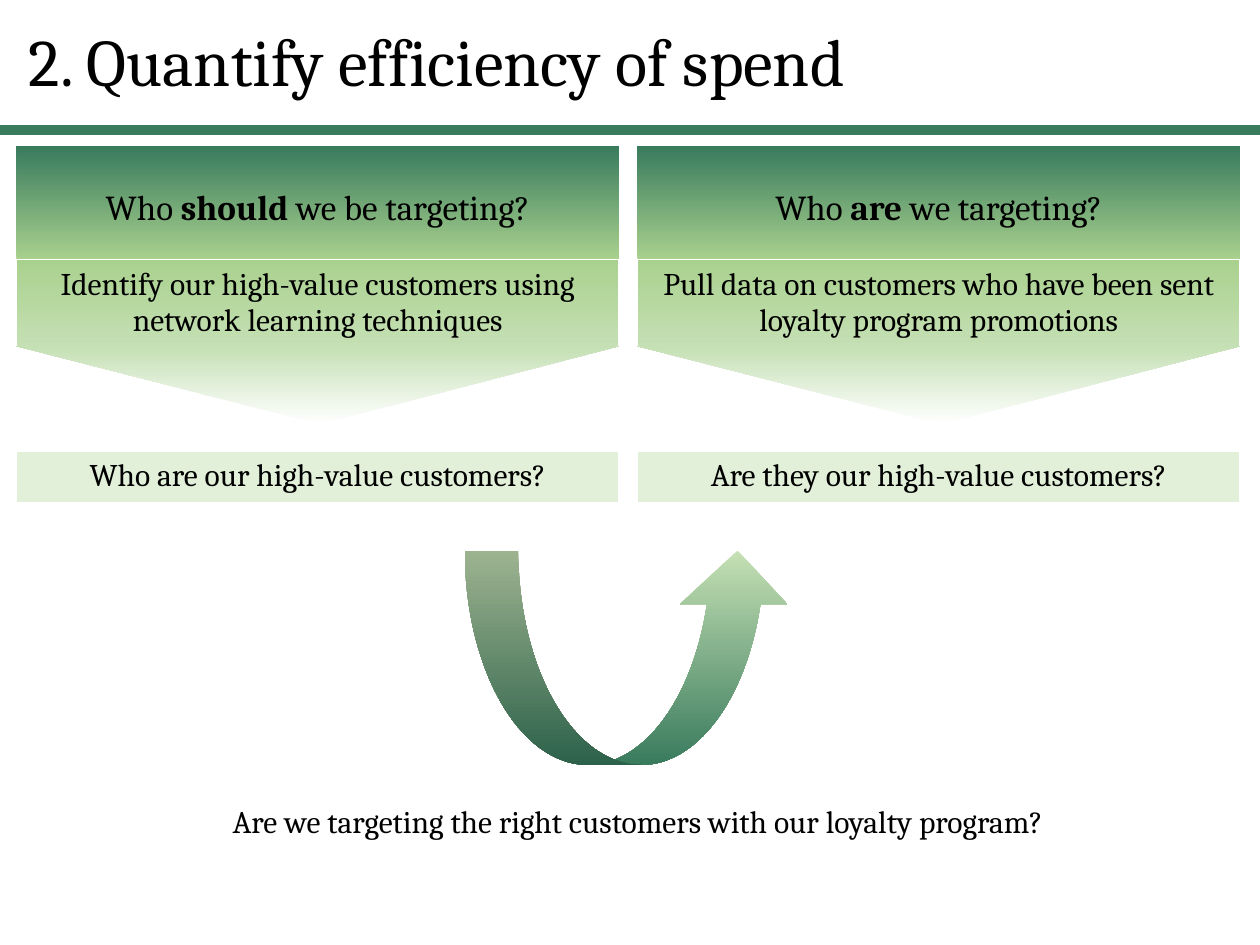
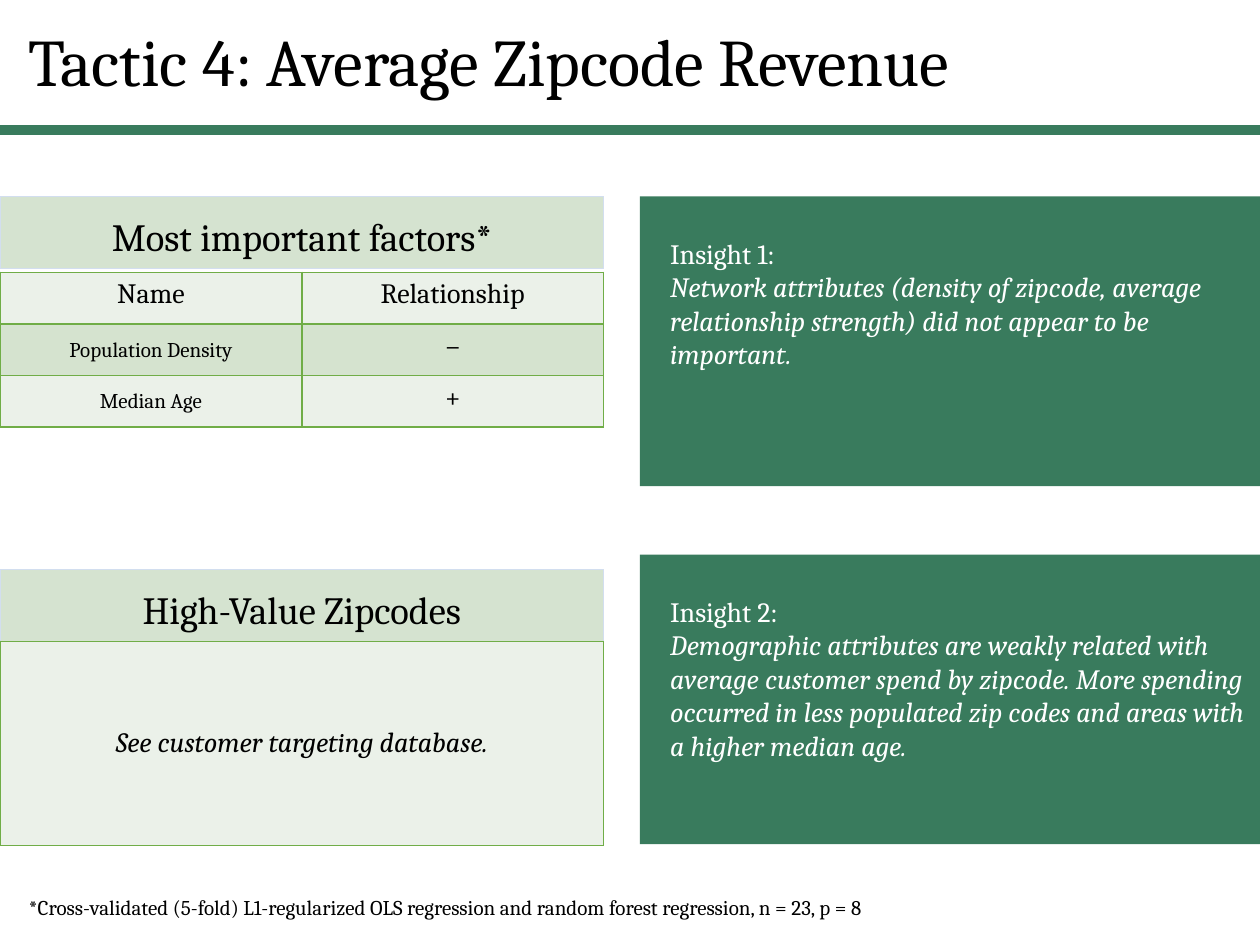
"""Builds two slides on customer targeting and zipcode revenue."""
import dataclasses

import lxml.etree
import pptx
import pptx.dml.color
import pptx.enum.shapes
import pptx.enum.text
import pptx.oxml.ns
import pptx.util

Cm = pptx.util.Cm
Pt = pptx.util.Pt
Shapes = pptx.enum.shapes.MSO_SHAPE
Align = pptx.enum.text.PP_ALIGN
Anchor = pptx.enum.text.MSO_ANCHOR
qn = pptx.oxml.ns.qn

UPWARD, DOWNWARD = 90, 270


@dataclasses.dataclass(frozen=True)
class Theme:
    font: str = "Cambria"
    text: str = "000000"
    inverse: str = "FFFFFF"
    green: str = "397B5D"
    leaf: str = "A9D18E"
    light_leaf: str = "C5E0B4"
    answer: str = "E2F0D9"
    heading: str = "D5E3D0"
    heading_line: str = "D2DEEF"
    pale_row: str = "EBF1E9"
    dark_row: str = "D5E3CF"
    border: str = "70AD47"
    title_size: int = 38
    heading_size: int = 22
    question_size: int = 20
    body_size: int = 18
    insight_size: int = 16
    small_size: int = 12


def rgb(color):
    return pptx.dml.color.RGBColor.from_string(color)


def set_values(target, values):
    for name, value in values.items():
        setattr(target, name, value)


class Deck:
    def __init__(self, theme):
        self.theme = theme
        self.presentation = pptx.Presentation()
        set_values(self.presentation, {"slide_width": Cm(25.4), "slide_height": Cm(19.05)})
        self.slide = None

    def add_slide(self, title):
        self.slide = self.presentation.slides.add_slide(self.presentation.slide_layouts[6])
        band = self.slide.shapes.add_connector(
            pptx.enum.shapes.MSO_CONNECTOR.STRAIGHT, 0, Cm(2.62), Cm(25.4), Cm(2.62))
        band.line.color.rgb = rgb(self.theme.green)
        band.line.width = Pt(6)
        lxml.etree.SubElement(band._element.spPr, qn("a:effectLst"))
        self.add_text((0.33, 0, 24.66, 2.62), title, self.theme.title_size,
                      {"line_spacing": 0.9}, {"vertical_anchor": Anchor.MIDDLE})

    def paint(self, fill, color, angle=UPWARD):
        if color is None:
            fill.background()
        elif isinstance(color, str):
            fill.solid()
            fill.fore_color.rgb = rgb(color)
        else:
            fill.gradient()
            fill.gradient_angle = angle
            for stop, stop_color in zip(fill.gradient_stops, color):
                stop.color.rgb = rgb(stop_color)

    def set_text(self, frame, content, size, paragraph_values=None, color=None):
        paragraphs = [[(content, {})]] if isinstance(content, str) else content
        for index, runs in enumerate(paragraphs):
            paragraph = frame.add_paragraph() if index else frame.paragraphs[0]
            set_values(paragraph, {"alignment": Align.LEFT, **(paragraph_values or {})})
            for text, font_values in runs:
                run = paragraph.add_run()
                run.text = text
                set_values(run.font, {"name": self.theme.font, "size": Pt(size), **font_values})
                run.font.color.rgb = rgb(color or self.theme.text)

    def add_text(self, box, content, size, paragraph_values=None, frame_values=None):
        shape = self.slide.shapes.add_textbox(*map(Cm, box))
        set_values(shape.text_frame, {"word_wrap": True, **(frame_values or {})})
        self.set_text(shape.text_frame, content, size, paragraph_values)

    def add_shape(self, kind, box, color, angle=UPWARD):
        shape = self.slide.shapes.add_shape(kind, *map(Cm, box))
        shape.shadow.inherit = False
        shape.line.fill.background()
        self.paint(shape.fill, color, angle)
        return shape

    def add_heading(self, box, content, size, color, line=None):
        shape = self.add_shape(Shapes.RECTANGLE, box, color)
        if line:
            shape.line.color.rgb = rgb(line)
            shape.line.width = Pt(0.75)
        shape.text_frame.vertical_anchor = Anchor.MIDDLE
        self.set_text(shape.text_frame, content, size,
                      {"alignment": Align.CENTER, "line_spacing": 1.14, "space_before": Pt(10)})

    def add_funnel(self, box, color):
        shape = self.add_shape(Shapes.ISOSCELES_TRIANGLE, box, color, DOWNWARD)
        shape.adjustments[0] = 0.504
        shape._element.spPr.xfrm.set("flipV", "1")

    def add_insight(self, top, label, finding):
        shape = self.add_shape(Shapes.RECTANGLE, (12.9, top, 12.5, 5.84), self.theme.green)
        set_values(shape.text_frame, {"vertical_anchor": Anchor.TOP, "margin_left": Cm(0.61),
                                      "margin_top": Cm(0.8)})
        self.set_text(shape.text_frame, [[(label, {})], [(finding, {"italic": True})]],
                      self.theme.insight_size, color=self.theme.inverse)

    def add_table(self, left, top, width, heights, columns=1):
        frame = self.slide.shapes.add_table(len(heights), columns, Cm(left), Cm(top),
                                            Cm(width), Cm(sum(heights)))
        table = frame.table
        set_values(table, {"first_row": False, "horz_banding": False})
        for row, height in zip(table.rows, heights):
            row.height = Cm(height)
        for cell in table.iter_cells():
            self.paint(cell.fill, None)
        return table

    def fill_cell(self, cell, content, size, color, cell_values=None, bordered=False):
        self.paint(cell.fill, color)
        set_values(cell, {"vertical_anchor": Anchor.MIDDLE, **(cell_values or {})})
        self.set_text(cell.text_frame, content, size, {"alignment": Align.CENTER})
        if bordered:
            properties = cell._tc.get_or_add_tcPr()
            for index, side in enumerate(("lnL", "lnR", "lnT", "lnB")):
                line = lxml.etree.Element(qn(f"a:{side}"), w=str(Pt(1)))
                fill = lxml.etree.SubElement(line, qn("a:solidFill"))
                lxml.etree.SubElement(fill, qn("a:srgbClr"), val=self.theme.border)
                properties.insert(index, line)


def build_spend_slide(deck):
    theme = deck.theme
    deck.add_slide("2. Quantify efficiency of spend")
    columns = [
        (0.33, "should", " we be targeting?",
         "Identify our high-value customers using network learning techniques",
         "Who are our high-value customers?"),
        (12.85, "are", " we targeting?",
         "Pull data on customers who have been sent loyalty program promotions",
         "Are they our high-value customers?"),
    ]
    width = 12.15
    for left, stress, ending, method, answer in columns:
        question = [[("Who ", {}), (stress, {"bold": True}), (ending, {})]]
        deck.add_heading((left, 2.95, width, 2.29), question, theme.question_size,
                         (theme.leaf, theme.green))
        table = deck.add_table(left, 5.23, width, [1.73, 1.04, 1.04, 1.04])
        deck.fill_cell(table.cell(0, 0), method, theme.body_size, (theme.light_leaf, theme.leaf))
        deck.fill_cell(table.cell(3, 0), answer, theme.body_size, theme.answer)
        deck.add_funnel((left, 6.98, width, 1.57), (theme.inverse, theme.light_leaf))
    deck.add_shape(Shapes.CURVED_UP_ARROW, (9.37, 11.1, 6.58, 4.32),
                   (theme.light_leaf, theme.green), DOWNWARD)
    deck.add_text((3.5, 16.05, 18.72, 1.02),
                  "Are we targeting the right customers with our loyalty program?",
                  theme.body_size, {"alignment": Align.CENTER}, {"word_wrap": False})


def build_zipcode_slide(deck):
    theme = deck.theme
    width = 12.17
    deck.add_slide("Tactic 4: Average Zipcode Revenue")
    for top, heading in ((3.96, "Most important factors*"), (11.48, "High-Value Zipcodes")):
        deck.add_heading((0, top, width, 1.45), heading, theme.heading_size,
                         theme.heading, theme.heading_line)

    factors = [("Name", "Relationship"), ("Population Density", "–"), ("Median Age", "+")]
    table = deck.add_table(0, 5.49, width, [1.04] * len(factors), 2)
    top_anchor = {"vertical_anchor": Anchor.TOP}
    tight = {"margin_left": Cm(0.03), "margin_right": Cm(0.03),
             "margin_top": Cm(0.03), "margin_bottom": 0}
    for row, (name, relationship) in enumerate(factors):
        color = theme.dark_row if row % 2 else theme.pale_row
        name_size, name_values = ((theme.small_size, tight) if row
                                  else (theme.insight_size, top_anchor))
        deck.fill_cell(table.cell(row, 0), name, name_size, color, name_values, True)
        deck.fill_cell(table.cell(row, 1), relationship, theme.insight_size, color,
                       top_anchor, True)

    database = deck.add_table(0, 12.93, width, [4.11])
    deck.fill_cell(database.cell(0, 0),
                   [[("See customer targeting database.", {"italic": True})]],
                   theme.insight_size, theme.pale_row, bordered=True)

    deck.add_insight(3.96, "Insight 1:",
                     "Network attributes (density of zipcode, average relationship strength) "
                     "did not appear to be important.")
    deck.add_insight(11.18, "Insight 2:",
                     "Demographic attributes are weakly related with average customer spend by "
                     "zipcode. More spending occurred in less populated zip codes and areas "
                     "with a higher median age.")
    deck.add_text((0.33, 17.91, 20.47, 0.76),
                  "*Cross-validated (5-fold) L1-regularized OLS regression and random forest "
                  "regression, n = 23, p = 8", theme.small_size)


def main():
    deck = Deck(Theme())
    build_spend_slide(deck)
    build_zipcode_slide(deck)
    deck.presentation.save("out.pptx")


if __name__ == "__main__":
    main()
